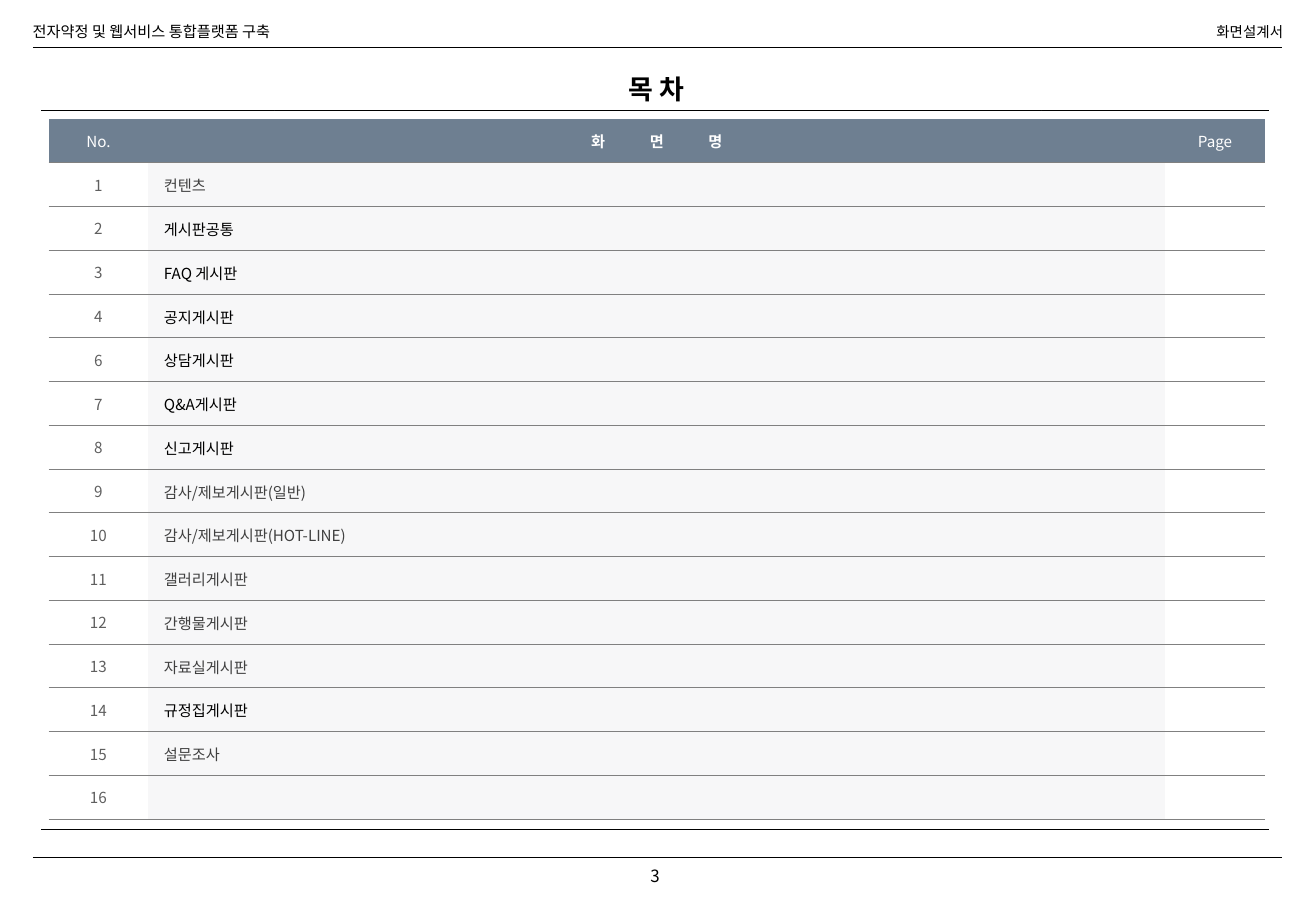
from lxml import etree
from pptx import Presentation
from pptx.dml.color import RGBColor
from pptx.enum import shapes, text
from pptx.oxml import ns
from pptx.util import Inches, Pt

COLORS = {"ink": "000000", "paper": "FFFFFF", "head": "6E7F91", "rule": "808080",
          "number": "5F5F5F", "soft": "404040", "band": "F7F7F8"}
BODY_FONT, HEADER_FONT = "Noto Sans CJK KR", "Calibri"
ALIGN = text.PP_ALIGN
SCREENS = [
    ("1", "컨텐츠", "soft"), ("2", "게시판공통", "ink"), ("3", "FAQ 게시판", "ink"),
    ("4", "공지게시판", "ink"), ("6", "상담게시판", "ink"), ("7", "Q&A게시판", "ink"),
    ("8", "신고게시판", "ink"), ("9", "감사/제보게시판(일반)", "soft"),
    ("10", "감사/제보게시판(HOT-LINE)", "soft"), ("11", "갤러리게시판", "soft"),
    ("12", "간행물게시판", "soft"), ("13", "자료실게시판", "soft"),
    ("14", "규정집게시판", "ink"), ("15", "설문조사", "soft"), ("16", "", "soft"),
]


def rgb(name):
    """Return the named colour."""
    return RGBColor.from_string(COLORS[name])


def style(paragraph, size, color="ink", align=ALIGN.LEFT, bold=False, face=BODY_FONT):
    """Set the font and alignment of a paragraph."""
    paragraph.alignment = align
    font = paragraph.font
    font.size, font.bold, font.name = Pt(size), bold, face
    font.color.rgb = rgb(color)
    if face == BODY_FONT:
        latin = next(paragraph.font._element.iter(ns.qn("a:latin")))
        latin.addnext(etree.Element(ns.qn("a:ea"), typeface=face))


def add_rule(slide, x1, y1, x2, y2, color="ink", width=0.75):
    """Draw a straight line between two points."""
    rule = slide.shapes.add_connector(shapes.MSO_CONNECTOR.STRAIGHT, *map(Inches, (x1, y1, x2, y2)))
    rule.line.color.rgb = rgb(color)
    rule.line.width = Pt(width)
    etree.SubElement(rule.element.spPr, ns.qn("a:effectLst"))


def add_label(slide, box, words, size, align, anchor=text.MSO_ANCHOR.MIDDLE, face=HEADER_FONT, spacing=1.0):
    """Add one line of text in a box."""
    frame = slide.shapes.add_textbox(*map(Inches, box)).text_frame
    frame.word_wrap = True
    frame.vertical_anchor = anchor
    frame.text = words
    frame.paragraphs[0].line_spacing = spacing
    style(frame.paragraphs[0], size, align=align, face=face)


def add_page_frame(slide, left, top, width, height):
    """Add the running header, the footer and their rules."""
    right, bottom = left + width, top + height
    for y in (top, bottom):
        add_rule(slide, left, y, right, y, width=1)
    add_label(slide, (right - 2.17, top - 0.23, 2.28, 0.23), "화면설계서", 8.6, ALIGN.RIGHT, spacing=0.8)
    add_label(slide, (left - 0.1, top - 0.27, 3.51, 0.27), "전자약정 및 웹서비스 통합플랫폼 구축", 9, ALIGN.LEFT)
    add_label(slide, (left + 4.61, bottom + 0.02, 1.02, 0.29), "3", 10, ALIGN.CENTER,
              text.MSO_ANCHOR.TOP, BODY_FONT)


def add_title(slide, left, top, width, height):
    """Place the title in its box."""
    title = slide.shapes.title
    title.left, title.top, title.width, title.height = map(Inches, (left, top, width, height))
    frame = title.text_frame
    frame.text = "목 차"
    frame.auto_size = text.MSO_AUTO_SIZE.NONE
    frame.vertical_anchor = text.MSO_ANCHOR.TOP
    frame.paragraphs[0].line_spacing = 1.6
    style(frame.paragraphs[0], 16, align=ALIGN.CENTER, bold=True)


def add_contents_rules(slide, left, top, width, height):
    """Draw the rules around the contents and the gaps in the upper one."""
    for y in (top, top + height):
        add_rule(slide, left, y, left + width, y)
    for x in (left + 1.92, left + 8.23):
        add_rule(slide, x, top, x, top + 0.17, "paper")


def fill_cell(cell, words, fill, margins, **font):
    """Fill one table cell with text and colour."""
    cell.margin_left, cell.margin_top, cell.margin_right, cell.margin_bottom = map(Inches, margins)
    cell.vertical_anchor = text.MSO_ANCHOR.MIDDLE
    cell.fill.solid()
    cell.fill.fore_color.rgb = rgb(fill)
    paragraph = cell.text_frame.paragraphs[0]
    if words:
        paragraph.text = words
    style(paragraph, 9, **font)


def spread_heading(paragraph, spacing):
    """Letter-space all but the last character of a heading."""
    words = paragraph.text
    paragraph.runs[0].text = words[:-1]
    paragraph.runs[0].font._element.set("spc", str(spacing))
    paragraph.add_run().text = words[-1]


def add_contents_table(slide, left, top, width, height):
    """Build the table of screens."""
    rows = len(SCREENS) + 1
    frame = slide.shapes.add_table(rows, 3, *map(Inches, (left, top, width, height)))
    next(frame.element.iter(ns.qn("a:tableStyleId"))).text = "{2D5ABB26-0587-4C30-8999-92F81FD0307C}"
    table = frame.table
    table.horz_banding = table.first_row = False
    side = 0.82
    for column, size in zip(table.columns, (side, width - 2 * side, side)):
        column.width = Inches(size)
    for row in table.rows:
        row.height = Inches(height / rows)

    even, name_margins = (0.07,) * 4, (0.13, 0.01, 0.01, 0)
    for column, heading in enumerate(("No.", "화 면 명", "Page")):
        fill_cell(table.cell(0, column), heading, "head", even,
                  color="paper", align=ALIGN.CENTER, bold=column == 1)
    spread_heading(table.cell(0, 1).text_frame.paragraphs[0], 1220)
    for row, (number, screen, color) in enumerate(SCREENS, 1):
        fill_cell(table.cell(row, 0), number, "paper", even, color="number", align=ALIGN.CENTER)
        fill_cell(table.cell(row, 1), screen, "band", name_margins, color=color)
        fill_cell(table.cell(row, 2), "", "paper", name_margins)
    for properties in frame.element.iter(ns.qn("a:tcPr")):
        border = etree.Element(ns.qn("a:lnB"), w=str(Pt(0.75)))
        solid = etree.SubElement(border, ns.qn("a:solidFill"))
        etree.SubElement(solid, ns.qn("a:srgbClr"), val=COLORS["rule"])
        properties.insert(0, border)


def main():
    """Build the contents slide."""
    deck = Presentation()
    deck.slide_width, deck.slide_height = Inches(10.83), Inches(7.5)
    slide = deck.slides.add_slide(deck.slide_layouts[5])
    add_page_frame(slide, 0.27, 0.39, 10.28, 6.67)
    add_title(slide, 0.27, 0.39, 10.27, 0.53)
    add_contents_rules(slide, 0.34, 0.91, 10.1, 5.92)
    add_contents_table(slide, 0.4, 0.98, 10.01, 5.77)
    deck.save("out.pptx")


if __name__ == "__main__":
    main()
